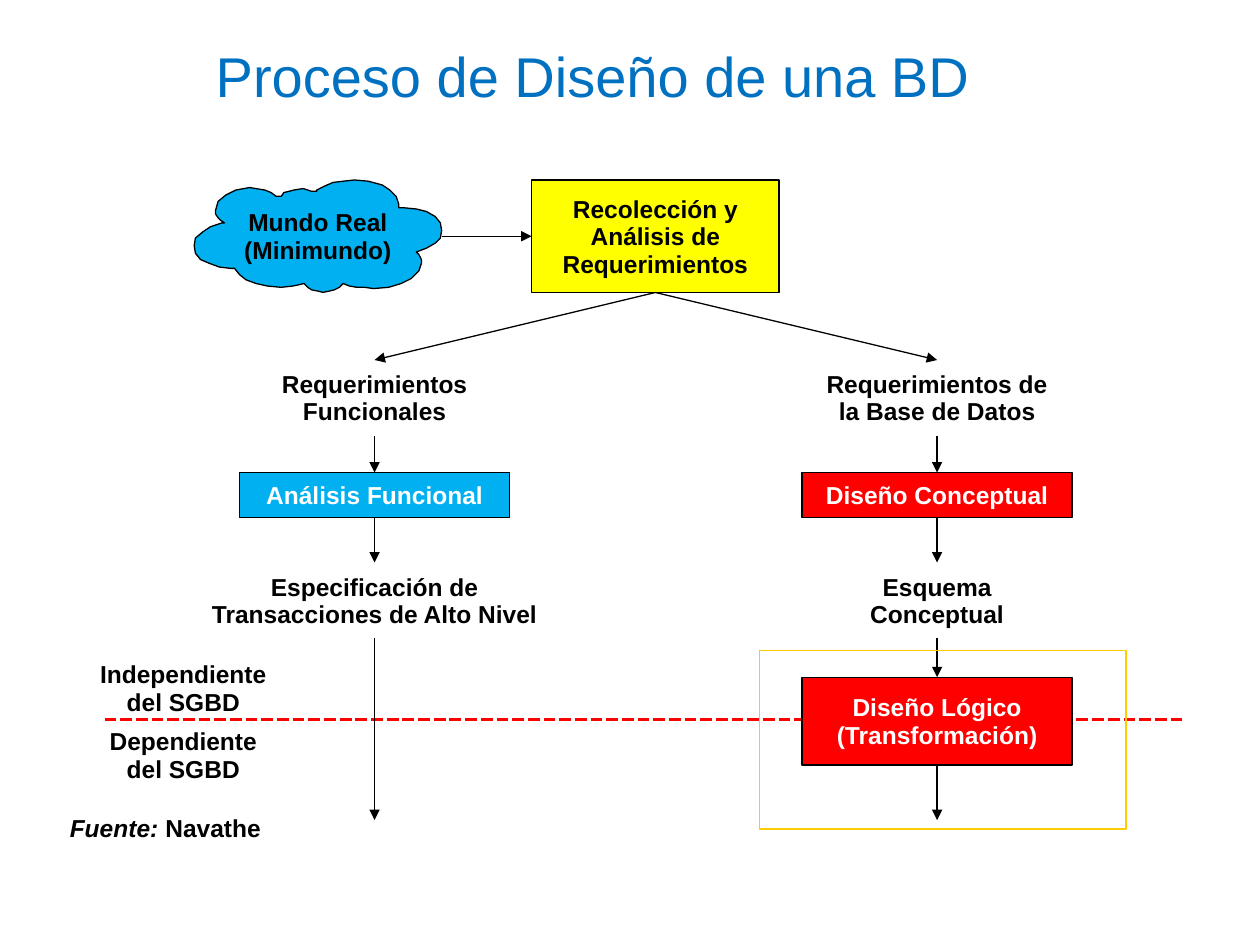
"""Builds the database design process slide on a grid of 56 by 42 square cells."""
import pptx
import pptx.util
import pptx.dml.color
import pptx.enum.dml
import pptx.enum.shapes
import pptx.enum.text
import pptx.oxml.ns
from lxml import etree

WIDE, HIGH = pptx.util.Inches(10), pptx.util.Inches(7.5)
CELL = WIDE / 56
ALIGN = pptx.enum.text.PP_ALIGN
RECT = pptx.enum.shapes.MSO_SHAPE.RECTANGLE
BLACK, WHITE, RED, BLUE, YELLOW = "000000", "FFFFFF", "FF0000", "00B0F0", "FFFF00"
CLOUD = [
    (176, 57), (178, 59), (179, 61), (180, 63), (180, 66), (178, 72), (172, 78), (164, 82),
    (154, 85), (142, 86), (135, 85), (129, 85), (123, 84), (118, 82), (115, 85), (111, 87),
    (107, 88), (102, 89), (98, 88), (93, 87), (90, 85), (87, 82), (83, 83), (78, 84),
    (69, 85), (58, 84), (49, 82), (41, 79), (36, 75), (32, 70), (29, 70), (20, 69),
    (12, 66), (5, 63), (1, 58), (0, 52), (1, 46), (7, 41), (13, 37), (22, 34),
    (24, 34), (21, 32), (19, 30), (17, 27), (17, 24), (19, 17), (25, 12), (33, 8),
    (44, 6), (50, 7), (56, 8), (61, 10), (65, 13), (69, 13), (71, 10), (75, 9),
    (79, 8), (85, 7), (87, 7), (90, 8), (93, 9), (97, 9), (97, 8), (103, 5),
    (110, 2), (118, 1), (127, 0), (138, 1), (149, 4), (155, 8), (160, 13), (162, 19),
    (162, 22), (166, 22), (176, 23), (184, 25), (191, 29), (195, 34), (196, 40),
    (195, 46), (191, 50), (184, 54),
]


def hue(code):
    """Turn a hex string into a colour."""
    return pptx.dml.color.RGBColor.from_string(code)


def grid(*cells):
    """Turn grid cells into lengths."""
    return [round(n * CELL) for n in cells]


def write(shape, text, ink=BLACK, wrap=True, align=ALIGN.CENTER):
    """Set bold text in the middle of a shape."""
    frame = shape.text_frame
    frame.text = text
    frame.word_wrap = wrap
    frame.vertical_anchor = pptx.enum.text.MSO_ANCHOR.MIDDLE
    frame.margin_left = frame.margin_right = pptx.util.Inches(0.09)
    frame.margin_top = pptx.util.Inches(0.06)
    frame.margin_bottom = pptx.util.Inches(0.04)
    for para in frame.paragraphs:
        para.alignment = align
        para.line_spacing = 0.93
        for run in para.runs:
            run.font.name = "Arial"
            run.font.size = pptx.util.Pt(14)
            run.font.bold = True
            run.font.color.rgb = hue(ink)


def paint(shape, fill=None, edge=BLACK):
    """Set the fill and outline of a shape."""
    shape.shadow.inherit = False
    if fill:
        shape.fill.solid()
        shape.fill.fore_color.rgb = hue(fill)
    else:
        shape.fill.background()
    shape.line.color.rgb = hue(edge)
    shape.line.width = pptx.util.Pt(0.75)


def block(slide, box, text, fill, ink=BLACK):
    """Add a filled step."""
    shape = slide.shapes.add_shape(RECT, *grid(*box))
    paint(shape, fill)
    write(shape, text, ink)
    return shape


def label(slide, box, text, **style):
    """Add plain text in a box."""
    shape = slide.shapes.add_textbox(*grid(*box))
    write(shape, text, **style)
    return shape


def stroke(slide, start, end, ink=BLACK, width=0.75):
    """Add a straight line between two grid points."""
    kind = pptx.enum.shapes.MSO_CONNECTOR.STRAIGHT
    line = slide.shapes.add_connector(kind, *grid(*start, *end))
    line.line.color.rgb = hue(ink)
    line.line.width = pptx.util.Pt(width)
    etree.SubElement(line.element.spPr, pptx.oxml.ns.qn("a:effectLst"))
    return line


def arrow(slide, start=(0, 0), end=(0, 0), source=None, target=None, side=0):
    """Add an arrow, joined to the bottom of source and a side of target."""
    line = stroke(slide, start, end)
    tip = etree.SubElement(line.get_or_add_ln(), pptx.oxml.ns.qn("a:tailEnd"))
    tip.set("type", "triangle")
    if source is not None:
        line.begin_connect(source, 2)
    if target is not None:
        line.end_connect(target, side)


def title(slide, box, text):
    """Fill the title placeholder."""
    head = slide.shapes.title
    head.left, head.top, head.width, head.height = grid(*box)
    frame = head.text_frame
    frame.text = text
    frame.vertical_anchor = pptx.enum.text.MSO_ANCHOR.TOP
    frame.margin_top = pptx.util.Inches(0.01)
    para = frame.paragraphs[0]
    para.alignment = ALIGN.CENTER
    font = para.runs[0].font
    font.name, font.size = "Arial", pptx.util.Pt(32)
    font.color.rgb = hue("0070C0")


def border(slide, box):
    """Add the dashed divide with a label above and below it."""
    x, y, w, h = box
    mid = y + h / 2
    line = stroke(slide, (x, mid), (x + w, mid), RED, 2.25)
    line.line.dash_style = pptx.enum.dml.MSO_LINE.SQUARE_DOT
    label(slide, (x - 1.3, y, 9.6, 3.36), "Independiente\ndel SGBD")
    label(slide, (x - 1.3, mid - 0.1, 9.6, 3.36), "Dependiente\ndel SGBD")


def source(slide, box):
    """Add the cloud and the first step, and return that step."""
    x, y, w, h = box
    scale = 11 * CELL / 196
    pen = slide.shapes.build_freeform(*CLOUD[0], scale=scale)
    pen.add_line_segments(CLOUD[1:], close=True)
    cloud = pen.convert_to_shape(*grid(x, y))
    paint(cloud, BLUE)
    write(cloud, "Mundo Real\n(Minimundo)", wrap=False)
    step = block(slide, (x + w - 11, y, 11, h), "Recolección y Análisis de Requerimientos", YELLOW)
    arrow(slide, (x + 11, y + h / 2), target=step, side=1)
    return step


def flow(slide, box, first, need, task, fill, result, wide):
    """Add one column of needs, task and result, and return the result."""
    x, y, w, h = box
    top = label(slide, (x, y, w, 3.36), need)
    step = block(slide, (x, y + 5, w, 2), task, fill, WHITE)
    last = label(slide, (x + (w - wide) / 2, y + h - 3.36, wide, 3.36), result)
    for upper, lower in ((first, top), (top, step), (step, last)):
        arrow(slide, source=upper, target=lower)
    return last


def logic(slide, box, above, end):
    """Add the logical design step inside its frame."""
    x, y, w, h = box
    step = block(slide, (x + 1.9, y + 1.2, 12, 3.9), "Diseño Lógico\n(Transformación)", RED, WHITE)
    arrow(slide, source=above, target=step)
    arrow(slide, end=end, source=step)
    paint(slide.shapes.add_shape(RECT, *grid(*box)), edge="FFCC00")


def credit(slide, box):
    """Add the source line with its first word in italics."""
    shape = label(slide, box, "Fuente:", wrap=False, align=ALIGN.RIGHT)
    para = shape.text_frame.paragraphs[0]
    para.runs[0].font.italic = True
    name = para.add_run()
    name.text = " Navathe"
    name.font.name, name.font.size, name.font.bold = "Arial", pptx.util.Pt(14), True
    name.font.color.rgb = hue(BLACK)


def main():
    """Build and save the slide."""
    deck = pptx.Presentation()
    deck.slide_width, deck.slide_height = WIDE, HIGH
    slide = deck.slides.add_slide(deck.slide_layouts[5])
    title(slide, (1.6, 1.8, 49.5, 6), "Proceso de Diseño de una BD")
    border(slide, (4.65, 28.9, 48, 6.16))
    first = source(slide, (8.63, 8, 26, 5))
    left = flow(slide, (10.65, 16, 12, 12.36), first, "Requerimientos\nFuncionales",
                "Análisis Funcional", BLUE, "Especificación de Transacciones de Alto Nivel", 18)
    right = flow(slide, (35.65, 16, 12, 12.36), first, "Requerimientos de\nla Base de Datos",
                 "Diseño Conceptual", RED, "Esquema Conceptual", 12)
    arrow(slide, end=(16.65, 36.45), source=left)
    logic(slide, (33.75, 28.9, 16.3, 7.95), right, (41.65, 36.45))
    credit(slide, (1.45, 35.84, 10.65, 1.96))
    deck.save("out.pptx")


if __name__ == "__main__":
    main()
